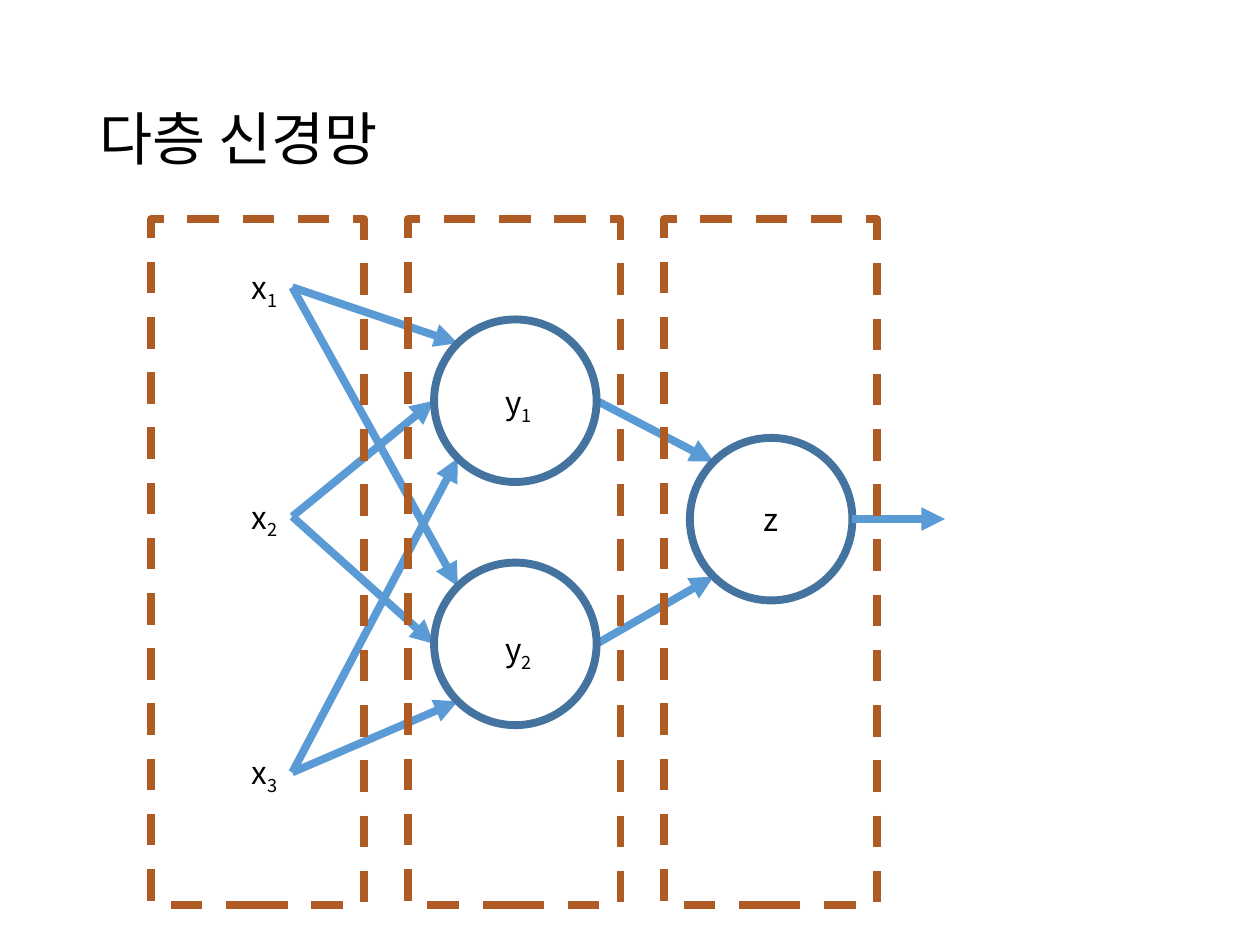
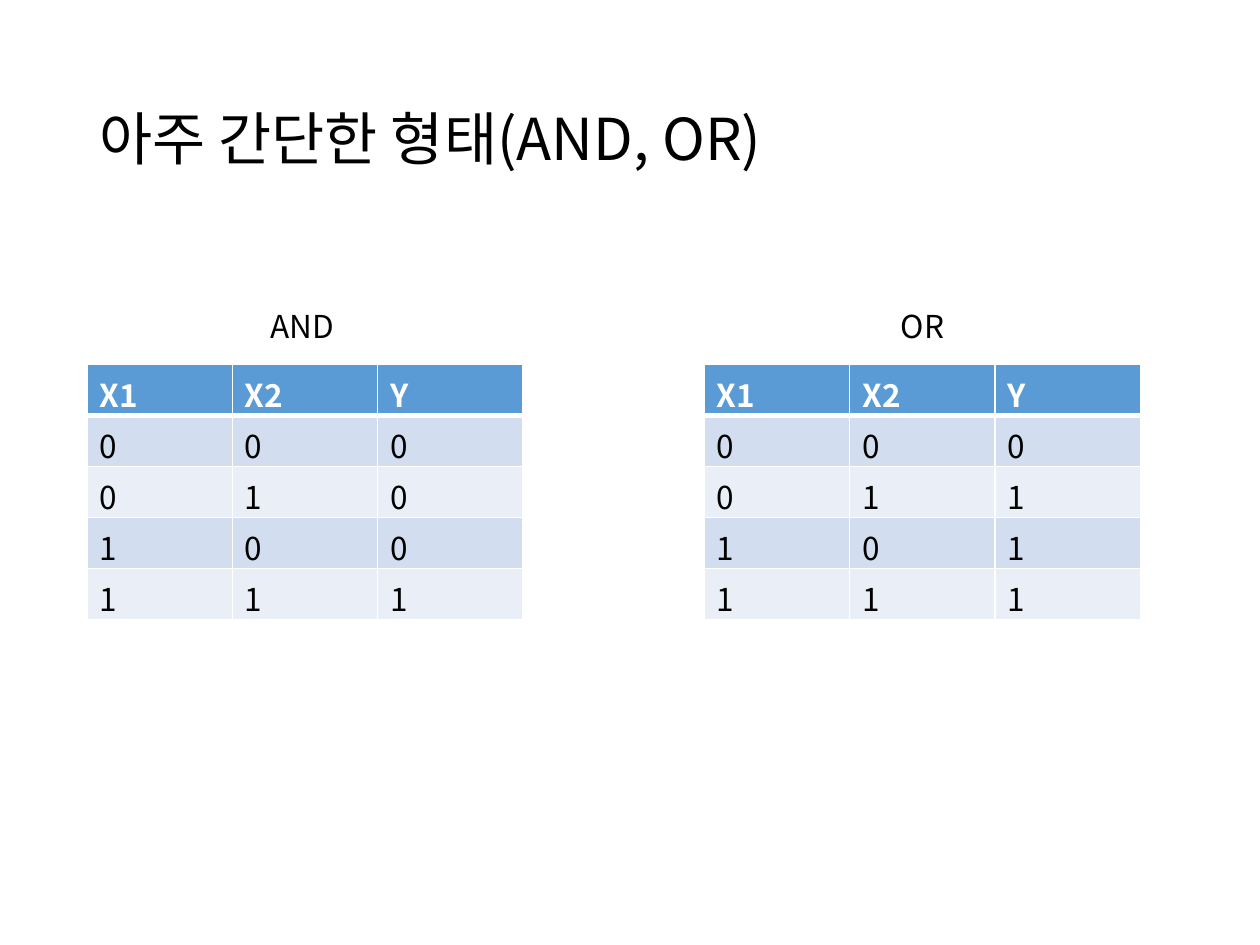
from math import sqrt
from lxml.etree import SubElement
from pptx import Presentation
from pptx.dml.color import RGBColor
from pptx.enum.dml import MSO_LINE
from pptx.enum.shapes import MSO_CONNECTOR, MSO_SHAPE
from pptx.enum.text import MSO_ANCHOR, MSO_AUTO_SIZE, PP_ALIGN
from pptx.oxml.ns import qn
from pptx.util import Inches, Pt

FONT = "Noto Sans CJK KR"
HUES = {"ink": "000000", "white": "FFFFFF", "blue": "5B9BD5", "ring": "43739E",
        "frame": "AF5C24", "dark": "D2DEEF", "light": "EAEFF7"}
STROKE = 4.5


def hue(name):
    return RGBColor.from_string(HUES[name])


def write(para, text, size=18, color="ink", bold=False, sub=False):
    run = para.add_run()
    run.text = text
    font = run.font
    font.name, font.size, font.bold = FONT, Pt(size), bold
    font.color.rgb = hue(color)
    props = run._r.get_or_add_rPr()
    SubElement(props, qn("a:ea")).set("typeface", FONT)
    if sub:
        props.set("baseline", "-25000")


def label(slide, left, top, width, text, sub="", wrap=True, align=PP_ALIGN.LEFT):
    box = slide.shapes.add_textbox(Inches(left), Inches(top), Inches(width), Inches(0.4))
    frame = box.text_frame
    frame.word_wrap = wrap
    frame.auto_size = MSO_AUTO_SIZE.SHAPE_TO_FIT_TEXT
    para = frame.paragraphs[0]
    para.alignment = align
    write(para, text)
    if sub:
        write(para, sub, sub=True)


def outline(slide, kind, left, top, width, height, color, dash=None):
    shape = slide.shapes.add_shape(
        kind, Inches(left), Inches(top), Inches(width), Inches(height))
    shape.shadow.inherit = False
    shape.fill.background()
    shape.line.color.rgb = hue(color)
    shape.line.width = Pt(STROKE)
    if dash:
        shape.line.dash_style = dash


def arrow(slide, start, end):
    ends = [Inches(n) for n in (*start, *end)]
    link = slide.shapes.add_connector(MSO_CONNECTOR.STRAIGHT, *ends)
    link.line.color.rgb = hue("blue")
    link.line.width = Pt(STROKE)
    SubElement(link.line._get_or_add_ln(), qn("a:tailEnd")).set("type", "triangle")
    SubElement(link._element.spPr, qn("a:effectLst"))


def page(deck, text):
    slide = deck.slides.add_slide(deck.slide_layouts[5])
    title = slide.shapes.title
    title.left, title.top = Inches(0.69), Inches(0.4)
    title.width, title.height = Inches(8.62), Inches(1.45)
    frame = title.text_frame
    frame.word_wrap = True
    frame.auto_size = MSO_AUTO_SIZE.NONE
    frame.vertical_anchor = MSO_ANCHOR.MIDDLE
    para = frame.paragraphs[0]
    para.alignment = PP_ALIGN.LEFT
    para.line_spacing = 0.9
    write(para, text, 33)
    return slide


def network(slide, left, top):
    rad = 0.645
    diag = rad / sqrt(2)
    inner = [(left + 2.89, top + y) for y in (1.44, 3.37)]
    final = (left + 4.92, top + 2.38)
    inputs = [(left + 1.12, top + y) for y in (0.54, 2.36, 4.39)]

    def port(node, dx, dy):
        return node[0] + dx, node[1] + dy

    sides = [(-diag, -diag), (-rad, 0), (-diag, diag)]
    for start, side in zip(inputs, sides):
        for node in inner:
            arrow(slide, start, port(node, *side))
    for node, dy in zip(inner, (-diag, diag)):
        arrow(slide, port(node, rad, 0), port(final, -diag, dy))

    for x, y in (*inner, final):
        outline(slide, MSO_SHAPE.OVAL, x - rad, y - rad, 2 * rad, 2 * rad, "ring")
    arrow(slide, port(final, rad, 0), port(final, 1.38, 0))

    for num, (x, y) in enumerate(inputs, 1):
        label(slide, x - 0.42, y - 0.2, 0.42, "x", str(num))
    for num, drop in enumerate((1.25, 3.21), 1):
        label(slide, left + 2.71, top + drop, 0.42, "y", str(num))
    label(slide, final[0] - 0.21, final[1] - 0.2, 0.42, "z", align=PP_ALIGN.CENTER)

    for col in range(3):
        outline(slide, MSO_SHAPE.RECTANGLE, left + 2.035 * col, top, 1.69, 5.44,
                "frame", MSO_LINE.DASH)


def border(cell, **sides):
    props = cell._tc.get_or_add_tcPr()
    for side, width in sides.items():
        line = SubElement(props, qn("a:ln" + side), w=str(Pt(width)))
        fill = SubElement(line, qn("a:solidFill"))
        SubElement(fill, qn("a:srgbClr")).set("val", HUES["white"])


def truth(slide, left, top, name, inset, width, results):
    label(slide, left + inset, top, width, name, wrap=False)
    rows = [("X1", "X2", "Y")]
    rows += [(str(n // 2), str(n % 2), res) for n, res in enumerate(results)]
    grid = slide.shapes.add_table(
        len(rows), 3, Inches(left), Inches(top + 0.5), Inches(3.46), Inches(2.03)).table
    for r, row in enumerate(rows):
        head = r == 0
        shade = "blue" if head else "dark" if r % 2 else "light"
        for c, text in enumerate(row):
            cell = grid.cell(r, c)
            border(cell, L=1, R=1, T=3 if r == 1 else 1, B=3 if head else 1)
            cell.fill.solid()
            cell.fill.fore_color.rgb = hue(shade)
            write(cell.text_frame.paragraphs[0], text,
                  color="white" if head else "ink", bold=head)


deck = Presentation()
deck.slide_width, deck.slide_height = Inches(10), Inches(7.5)
network(page(deck, "다층 신경망"), 1.2, 1.74)
gates = page(deck, "아주 간단한 형태(AND, OR)")
truth(gates, 0.69, 2.39, "AND", 1.36, 0.74, "0001")
truth(gates, 5.59, 2.39, "OR", 1.46, 0.55, "0111")
deck.save("out.pptx")
